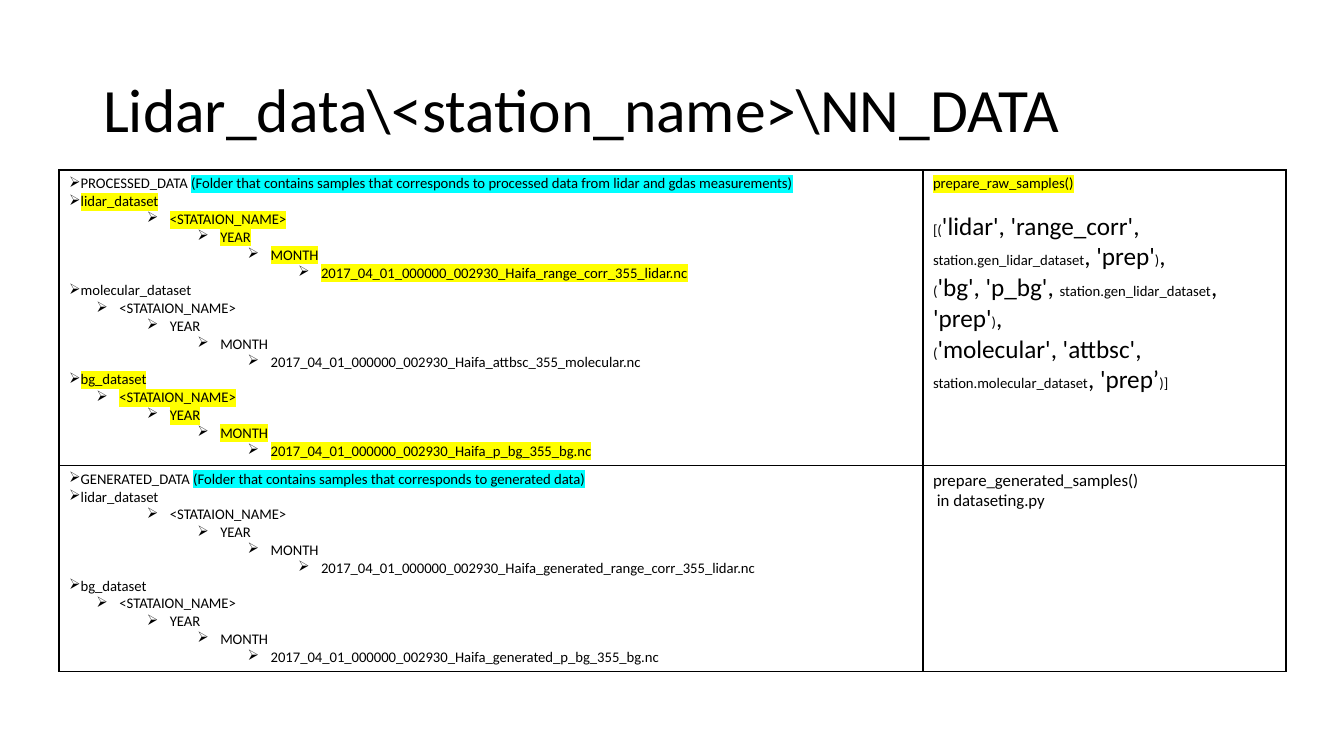
"""Build a slide listing the NN_DATA folder trees beside the functions that prepare them."""
from dataclasses import dataclass

from lxml import etree
from pptx import Presentation
from pptx.dml.color import RGBColor
from pptx.enum.text import MSO_ANCHOR, PP_ALIGN
from pptx.oxml.ns import qn
from pptx.util import Pt

LEFT, MIDDLE = PP_ALIGN.LEFT, MSO_ANCHOR.MIDDLE
PX = 914400 / 100.8


@dataclass(frozen=True)
class Theme:
    font: str = "Calibri"
    ink: str = "000000"
    yellow: str = "FFFF00"
    cyan: str = "00FFFF"
    title: float = 44
    code: float = 18
    note: float = 12
    body: float = 10.5


T = Theme()


def px(n):
    return round(n * PX)


def add_run(p, text, size=T.body, highlight=None):
    r = p.add_run()
    r.text = text
    r.font.size = Pt(size)
    r.font.color.rgb = RGBColor.from_string(T.ink)
    if highlight:
        mark = etree.SubElement(r.font._element, qn("a:highlight"))
        etree.SubElement(mark, qn("a:srgbClr"), val=highlight)
    r.font.name = T.font


prs = Presentation()
prs.slide_width, prs.slide_height = px(1344), px(756)
s = prs.slides.add_slide(prs.slide_layouts[5])

title = s.shapes.title
title.left, title.top, title.width, title.height = px(93), px(40), px(1159), px(146)
tf = title.text_frame
tf.vertical_anchor = MIDDLE
p = tf.paragraphs[0]
p.alignment, p.line_spacing = LEFT, 0.9
add_run(p, "Lidar_data\\<station_name>\\NN_DATA", T.title)

COLS, ROWS = (864, 363), (295, 206)
table = s.shapes.add_table(2, 2, px(59), px(170), px(sum(COLS)), px(sum(ROWS))).table
table.first_row = table.horz_banding = False
for column, width in zip(table.columns, COLS):
    column.width = px(width)
for row, height in zip(table.rows, ROWS):
    row.height = px(height)

for cell in table.iter_cells():
    cell.fill.background()
    tcPr = cell._tc.get_or_add_tcPr()
    for i, side in enumerate(("lnL", "lnR", "lnT", "lnB")):
        ln = etree.Element(qn(f"a:{side}"), w=str(Pt(1)))
        fill = etree.SubElement(ln, qn("a:solidFill"))
        etree.SubElement(fill, qn("a:srgbClr"), val=T.ink)
        tcPr.insert(i, ln)

FOLDERS = [
    ("PROCESSED_DATA ",
     "(Folder that contains samples that corresponds to processed data from lidar and gdas measurements)",
     [("lidar_dataset", 2, "range_corr_355_lidar", T.yellow),
      ("molecular_dataset", 1, "attbsc_355_molecular", None),
      ("bg_dataset", 1, "p_bg_355_bg", T.yellow)]),
    ("GENERATED_DATA ",
     "(Folder that contains samples that corresponds to generated data)",
     [("lidar_dataset", 2, "generated_range_corr_355_lidar", None),
      ("bg_dataset", 1, "generated_p_bg_355_bg", None)]),
]
for row, (folder, purpose, datasets) in enumerate(FOLDERS):
    entries = [(0, [(folder, None), (purpose, T.cyan)])]
    for dataset, first_level, product, highlight in datasets:
        entries.append((0, [(dataset, highlight)]))
        branch = ("<STATAION_NAME>", "YEAR", "MONTH",
                  f"2017_04_01_000000_002930_Haifa_{product}.nc")
        for level, name in enumerate(branch, first_level):
            entries.append((level, [(name, highlight)]))
    tf = table.cell(row, 0).text_frame
    for i, (level, parts) in enumerate(entries):
        p = tf.add_paragraph() if i else tf.paragraphs[0]
        p.level = level
        pPr = p._p.get_or_add_pPr()
        pPr.set("marL", str(px(50.4 * level)))
        pPr.set("indent", str(px(-23) if level else 0))
        etree.SubElement(pPr, qn("a:buChar"), char="➢")
        for text, highlight in parts:
            add_run(p, text, highlight=highlight)

CODE_LINES = [
    ("[(", "'lidar', 'range_corr', ", "station.gen_lidar_dataset", ", 'prep'", ")", ","),
    ("(", "'bg', 'p_bg', ", "station.gen_lidar_dataset", ", 'prep'", ")", ","),
    ("(", "'molecular', 'attbsc', ", "station.molecular_dataset", ", 'prep’", ")]"),
]
tf = table.cell(0, 1).text_frame
add_run(tf.paragraphs[0], "prepare_raw_samples()", highlight=T.yellow)
p = tf.add_paragraph()
p.space_before = Pt(13)
for i, line in enumerate(CODE_LINES):
    if i:
        p.add_line_break()
    for j, text in enumerate(line):
        add_run(p, text, T.code if j % 2 else T.body)

tf = table.cell(1, 1).text_frame
add_run(tf.paragraphs[0], "prepare_generated_samples()", T.note)
add_run(tf.add_paragraph(), " in dataseting.py", T.note)

prs.save("out.pptx")
